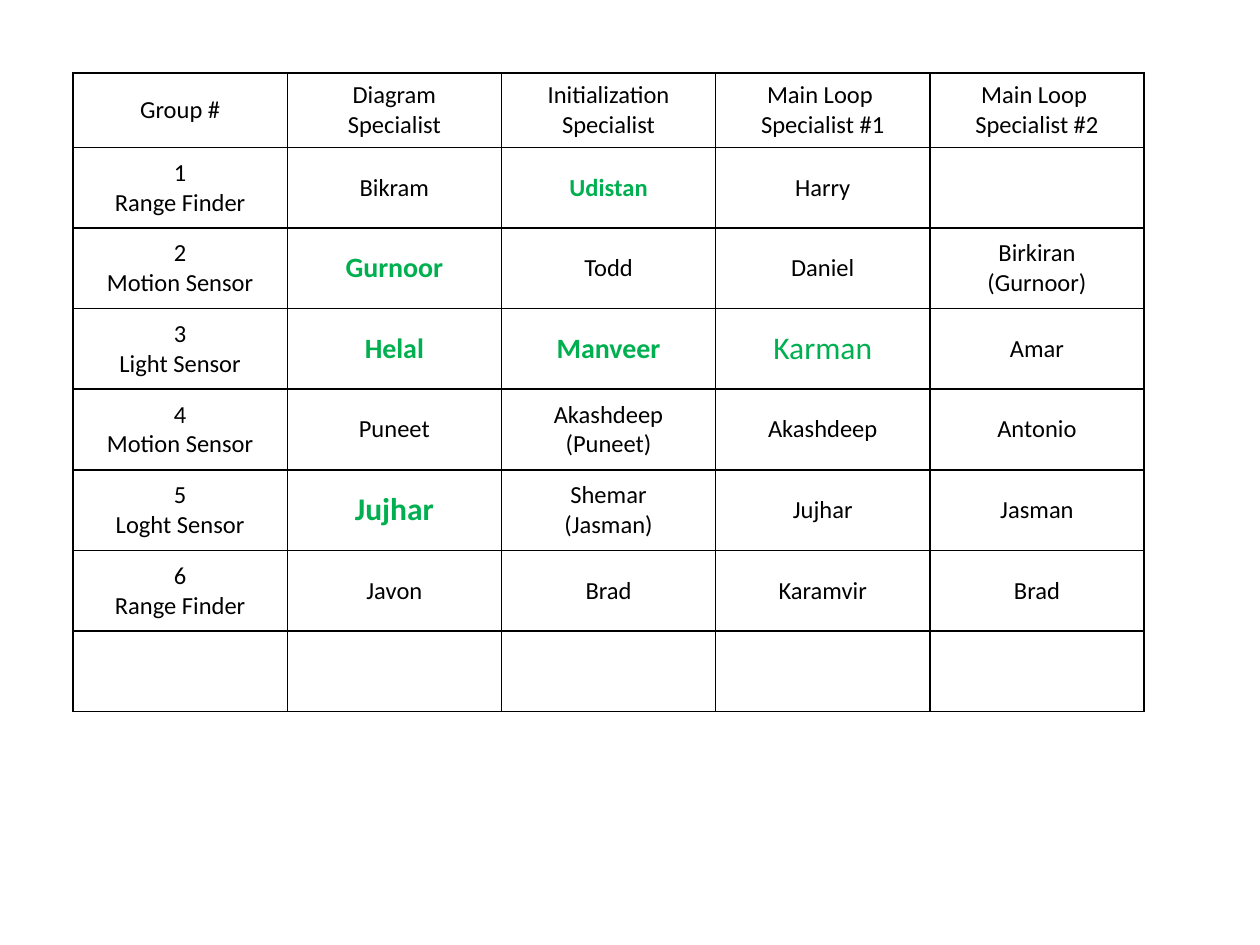
from dataclasses import dataclass

from lxml import etree
from pptx import Presentation
from pptx import util as u
from pptx.dml.color import RGBColor
from pptx.enum import text
from pptx.oxml import ns

BLACK = RGBColor(0x00, 0x00, 0x00)
GREEN = RGBColor(0x00, 0xB0, 0x50)
WHITE = RGBColor(0xFF, 0xFF, 0xFF)

COLUMN_WIDTH = u.Inches(1.7)
HEADER_HEIGHT = u.Inches(0.59)
GROUP_HEIGHT = u.Inches(0.64)
MARGIN = u.Inches(0.58)


@dataclass(frozen=True)
class Entry:
    words: str
    size: int = 14
    bold: bool = False
    color: RGBColor = BLACK


def highlight(words: str, size: int = 16, bold: bool = True) -> Entry:
    return Entry(words, size, bold, GREEN)


ROSTER = [
    ["Group #", "Diagram\nSpecialist", "Initialization\nSpecialist",
     "Main Loop \nSpecialist #1", "Main Loop \nSpecialist #2"],
    ["1\nRange Finder", "Bikram", highlight("Udistan", 14), "Harry", ""],
    ["2\nMotion Sensor", highlight("Gurnoor"), "Todd", "Daniel", "Birkiran\n(Gurnoor)"],
    ["3\nLight Sensor", highlight("Helal"), highlight("Manveer"),
     highlight("Karman", 18, False), "Amar"],
    ["4\nMotion Sensor", "Puneet", "Akashdeep\n(Puneet)", "Akashdeep", "Antonio"],
    ["5\nLoght Sensor", highlight("Jujhar", 18), "Shemar\n(Jasman)", "Jujhar", "Jasman"],
    ["6\nRange Finder", "Javon", "Brad", "Karamvir", "Brad"],
    [""] * 5,
]


def add_borders(cell, color: RGBColor, width: u.Length) -> None:
    properties = cell._tc.get_or_add_tcPr()
    for side in ("a:lnL", "a:lnR", "a:lnT", "a:lnB"):
        line = etree.SubElement(properties, ns.qn(side), w=str(int(width)))
        fill = etree.SubElement(line, ns.qn("a:solidFill"))
        etree.SubElement(fill, ns.qn("a:srgbClr"), val=str(color))


def fill_cell(cell, entry: Entry) -> None:
    add_borders(cell, BLACK, u.Pt(1))
    cell.fill.solid()
    cell.fill.fore_color.rgb = WHITE
    cell.vertical_anchor = text.MSO_ANCHOR.MIDDLE
    cell.text = entry.words
    font_format = {"name": "Calibri", "size": u.Pt(entry.size), "bold": entry.bold}
    for paragraph in cell.text_frame.paragraphs:
        paragraph.alignment = text.PP_ALIGN.CENTER
        for run in paragraph.runs:
            for attribute, value in font_format.items():
                setattr(run.font, attribute, value)
            run.font.color.rgb = entry.color


def add_roster(slide, roster: list) -> None:
    row_count, column_count = len(roster), len(roster[0])
    table = slide.shapes.add_table(
        row_count, column_count, MARGIN, MARGIN, COLUMN_WIDTH * column_count,
        HEADER_HEIGHT + GROUP_HEIGHT * (row_count - 1),
    ).table
    table.first_row = False
    table.horz_banding = False
    for column in table.columns:
        column.width = COLUMN_WIDTH
    for index, (row, entries) in enumerate(zip(table.rows, roster)):
        row.height = GROUP_HEIGHT if index else HEADER_HEIGHT
        for cell, entry in zip(row.cells, entries):
            fill_cell(cell, entry if isinstance(entry, Entry) else Entry(entry))


def main() -> None:
    presentation = Presentation()
    presentation.slide_width = u.Inches(10)
    presentation.slide_height = u.Inches(7.5)
    slide = presentation.slides.add_slide(presentation.slide_layouts[6])
    add_roster(slide, ROSTER)
    presentation.save("out.pptx")


if __name__ == "__main__":
    main()
